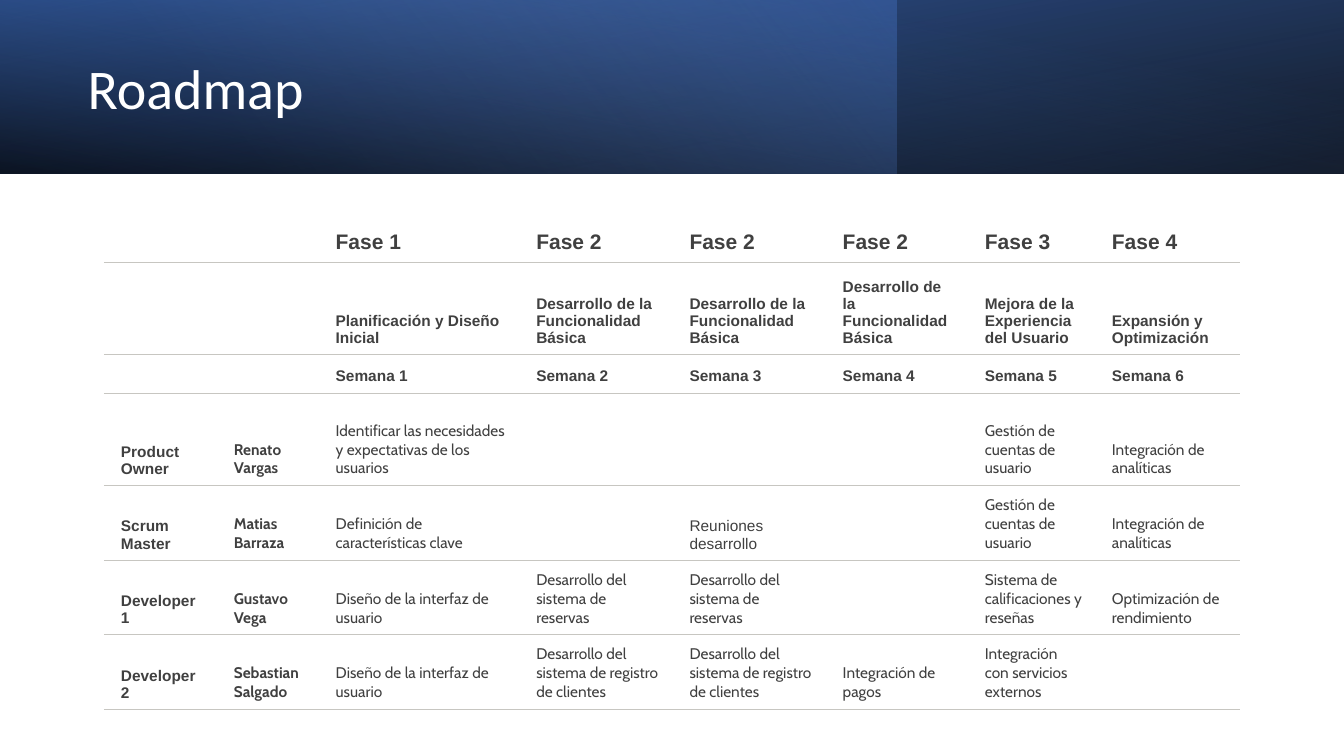
from lxml import etree
from pptx import Presentation
from pptx.dml.color import RGBColor
from pptx.enum.shapes import MSO_SHAPE
from pptx.enum.text import MSO_ANCHOR
from pptx.oxml import parse_xml
from pptx.oxml.ns import nsdecls, qn
from pptx.util import Inches, Pt

RECT = MSO_SHAPE.RECTANGLE
BOTTOM, MIDDLE = MSO_ANCHOR.BOTTOM, MSO_ANCHOR.MIDDLE

COLORS = {"black": "000000", "navy": "2F5597", "blue": "4472C4",
          "light": "8FAADC", "white": "FFFFFF", "text": "404040", "rule": "C7C6C1"}

# Content
TITLE = "Roadmap"
BASICS = "Desarrollo de la Funcionalidad Básica"
ACCOUNTS = "Gestión de cuentas de usuario"
ANALYTICS = "Integración de analíticas"
INTERFACE = "Diseño de la interfaz de usuario"
BOOKING = "Desarrollo del sistema de reservas"
REGISTRY = "Desarrollo del sistema de registro de clientes"
MEETINGS = "Reuniones desarrollo"
ROWS = [
    ["", "", "Fase 1", "Fase 2", "Fase 2", "Fase 2", "Fase 3", "Fase 4"],
    ["", "", "Planificación y Diseño Inicial", BASICS, BASICS, BASICS,
     "Mejora de la Experiencia del Usuario", "Expansión y Optimización"],
    ["", ""] + [f"Semana {n}" for n in range(1, 7)],
    ["Product Owner", "Renato Vargas",
     "Identificar las necesidades y expectativas de los usuarios",
     "", "", "", ACCOUNTS, ANALYTICS],
    ["Scrum Master", "Matias Barraza", "Definición de características clave",
     "", MEETINGS, "", ACCOUNTS, ANALYTICS],
    ["Developer 1", "Gustavo Vega", INTERFACE, BOOKING, BOOKING, "",
     "Sistema de calificaciones y reseñas", "Optimización de rendimiento"],
    ["Developer 2", "Sebastian Salgado", INTERFACE, REGISTRY, REGISTRY,
     "Integración de pagos", "Integración con servicios externos", ""],
]
COL_WIDTHS = [1.12, 1.01, 1.99, 1.52, 1.52, 1.41, 1.26, 1.44]
ROW_HEIGHTS = [0.45, 0.92, 0.38, 0.92, 0.74, 0.74, 0.74]
HEADER_ROWS = 3

# Header bands: width, rotation, flipped, angle, stops (position, colour, opacity)
BANDS = [
    (13.33, 180, True, 100, [(0, "black", 96), (100, "navy", 100)]),
    (8.89, 0, False, 140, [(0, "blue", 41), (74, "light", 0)]),
    (13.33, 0, True, 260, [(0, "black", 63), (78, "blue", 15)]),
]
BAND_HEIGHT = 1.72


def add_band(s, width, rotation, flipped, angle, stops):
    sp = s.shapes.add_shape(RECT, 0, 0, Inches(width), Inches(BAND_HEIGHT))
    sp.shadow.inherit = False
    sp.line.fill.background()
    sp.rotation = rotation
    if flipped:
        sp._element.spPr.find(qn("a:xfrm")).set("flipH", "1")
    gs = "".join(
        f'<a:gs pos="{pos * 1000}"><a:srgbClr val="{COLORS[color]}">'
        f'<a:alpha val="{opacity * 1000}"/></a:srgbClr></a:gs>'
        for pos, color, opacity in stops)
    grad = parse_xml(
        f'<a:gradFill {nsdecls("a")} rotWithShape="1"><a:gsLst>{gs}</a:gsLst>'
        f'<a:lin ang="{angle * 60000}" scaled="0"/></a:gradFill>')
    sp._element.spPr.find(qn("a:prstGeom")).addnext(grad)


def add_run(p, text, size, font, color, bold=False):
    r = p.add_run()
    r.text = text
    r.font.size, r.font.name, r.font.bold = Pt(size), font, bold
    r.font.color.rgb = RGBColor.from_string(COLORS[color])


def set_borders(cell):
    """Rule under the cell, nothing on the other sides of the row."""
    tcPr = cell._tc.get_or_add_tcPr()
    for side in ("lnL", "lnR", "lnT", "lnB"):
        ln = etree.SubElement(tcPr, qn(f"a:{side}"), w=str(Pt(0.75)))
        if side == "lnB" or (side == "lnT" and not cell_is_first_row(cell)):
            fill = etree.SubElement(ln, qn("a:solidFill"))
            etree.SubElement(fill, qn("a:srgbClr"), val=COLORS["rule"])
        else:
            etree.SubElement(ln, qn("a:noFill"))


def cell_is_first_row(cell):
    return cell._tc.row_idx == 0


def fill_cell(cell, row, col, text):
    cell.vertical_anchor = BOTTOM
    cell.margin_left, cell.margin_right = Inches(0.17), Inches(0.12)
    cell.margin_top = cell.margin_bottom = Inches(0.08)
    set_borders(cell)
    cell.fill.background()
    p = cell.text_frame.paragraphs[0]
    if not text:
        etree.SubElement(p._p, qn("a:endParaRPr"), sz="1100")
        return
    arial = row < HEADER_ROWS or col == 0 or text == MEETINGS
    add_run(p, text, 15 if row == 0 else 11, "Arial" if arial else "Cabin",
            "text", bold=row < HEADER_ROWS or col < 2)


def main():
    prs = Presentation()
    prs.slide_width, prs.slide_height = Inches(13.33), Inches(7.5)
    s = prs.slides.add_slide(prs.slide_layouts[6])

    # Header
    for band in BANDS:
        add_band(s, *band)
    title = s.shapes.add_textbox(Inches(0.77), Inches(0.27), Inches(7.72), Inches(1.27))
    tf = title.text_frame
    tf.word_wrap = True
    tf.vertical_anchor = MIDDLE
    p = tf.paragraphs[0]
    p.line_spacing = 0.9
    add_run(p, TITLE, 40, "Calibri", "white")

    # Roadmap table
    table = s.shapes.add_table(
        len(ROWS), len(COL_WIDTHS), Inches(1.03), Inches(2.15),
        Inches(sum(COL_WIDTHS)), Inches(sum(ROW_HEIGHTS))).table
    table.first_row = table.horz_banding = False
    for column, width in zip(table.columns, COL_WIDTHS):
        column.width = Inches(width)
    for i, (texts, height) in enumerate(zip(ROWS, ROW_HEIGHTS)):
        table.rows[i].height = Inches(height)
        for j, text in enumerate(texts):
            fill_cell(table.cell(i, j), i, j, text)

    prs.save("out.pptx")


if __name__ == "__main__":
    main()
